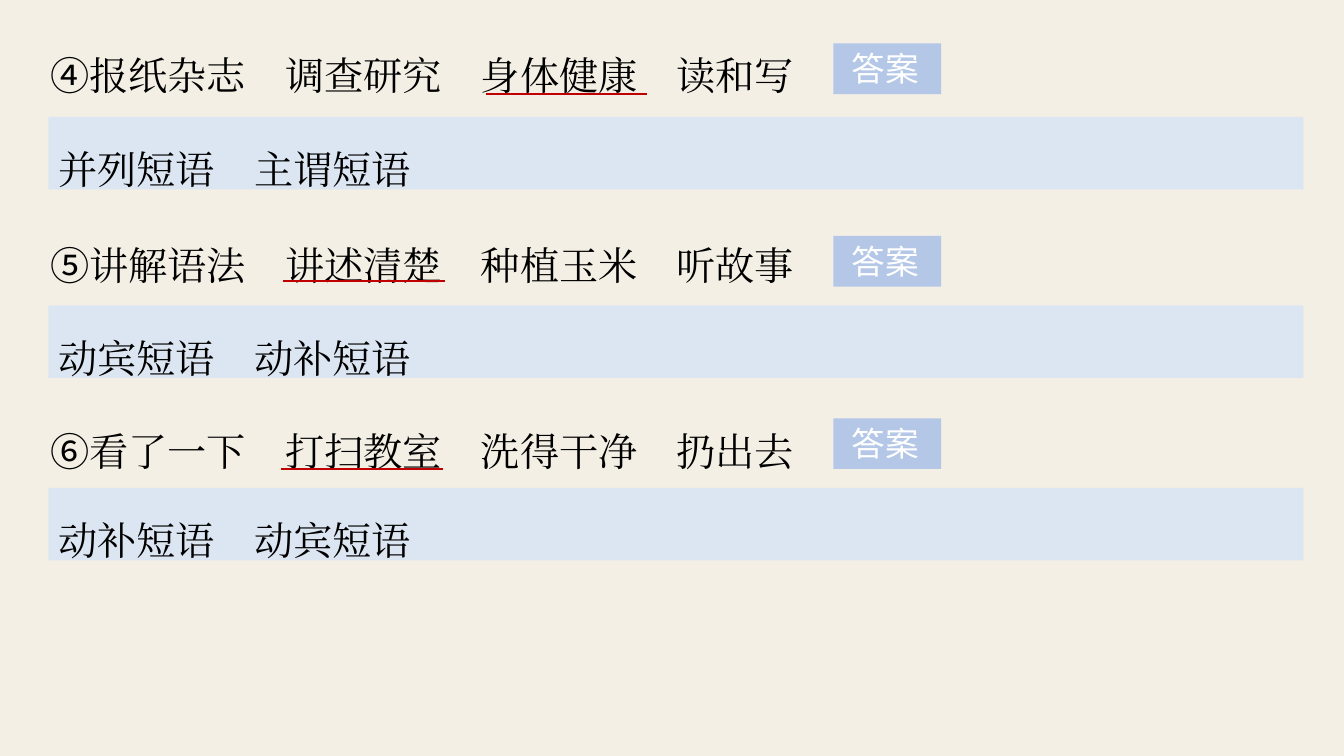
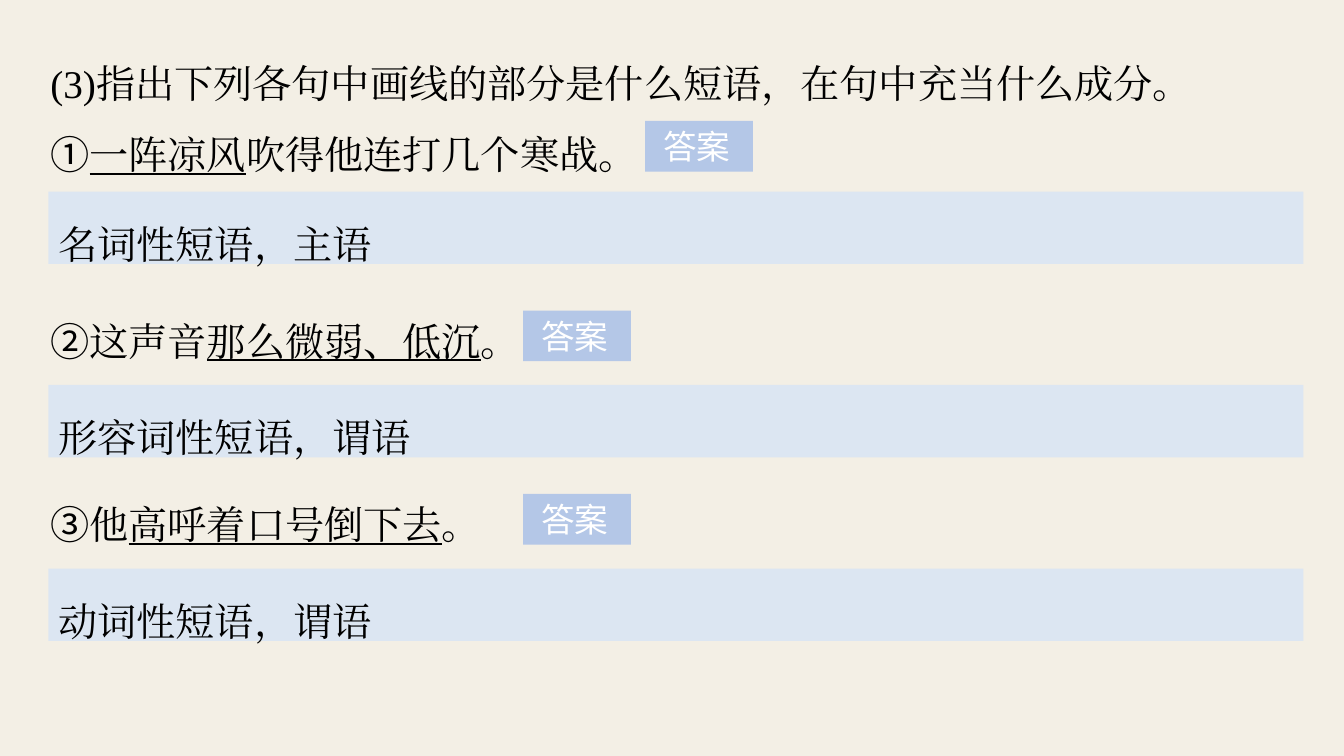
"""Build two grammar exercise slides with questions, answer bands and answer labels."""
import pptx
import pptx.dml.color
import pptx.enum.shapes
import pptx.enum.text
import pptx.oxml.ns
import pptx.util
from lxml import etree

Pt = pptx.util.Pt
COLORS = {"paper": "F3EFE5", "band": "DCE6F2", "label": "B4C7E7",
          "rule": "C00000", "ink": "000000", "white": "FFFFFF"}
BODY, NUMERAL, LABEL = "Times New Roman", "Noto Sans CJK SC", "Arial"
QUESTION_LEFT, QUESTION_WIDTH, LINE_HEIGHT, QUESTION_PADDING = 26.6, 903.6, 50.4, 10
BAND_LEFT, BAND_WIDTH, BAND_HEIGHT = 34.6, 896.4, 51.8
LABEL_WIDTH, LABEL_HEIGHT, RULE_WIDTH = 77, 36.2, 115.5

SLIDES = [
    [
        {"question": ["④报纸杂志　调查研究　身体健康　读和写"], "answer": "并列短语　主谓短语",
         "tops": (15.1, 83.5), "label": (595.4, 31), "rule": (347, 67)},
        {"question": ["⑤讲解语法　讲述清楚　种植玉米　听故事"], "answer": "动宾短语　动补短语",
         "tops": (150.5, 218.2), "label": (595.4, 168.5), "rule": (202.3, 200.9)},
        {"question": ["⑥看了一下　打扫教室　洗得干净　扔出去"], "answer": "动补短语　动宾短语",
         "tops": (283.7, 348.5), "label": (595.4, 298.8), "rule": (200.9, 335.2)},
    ],
    [
        {"question": ["(3)指出下列各句中画线的部分是什么短语，在句中充当什么成分。",
                      "①_一阵凉风_吹得他连打几个寒战。"], "answer": "名词性短语，主语",
         "tops": (20.9, 136.8), "label": (460.8, 86.4)},
        {"question": ["②这声音_那么微弱、低沉_。"], "answer": "形容词性短语，谓语",
         "tops": (204.5, 275), "label": (373.7, 221.8)},
        {"question": ["③他_高呼着口号倒下去_。"], "answer": "动词性短语，谓语",
         "tops": (335.5, 406.1), "label": (373.7, 352.8)},
    ],
]


def rgb(name):
    return pptx.dml.color.RGBColor.from_string(COLORS[name])


def add_run(paragraph, text, face, size=28, color="ink", underline=None):
    run = paragraph.add_run()
    run.text = text
    formats = {"name": face, "size": Pt(size), "underline": underline}
    for attribute, value in formats.items():
        setattr(run.font, attribute, value)
    run.font.color.rgb = rgb(color)
    latin = run.font._element.find(pptx.oxml.ns.qn("a:latin"))
    east_asian = etree.Element(pptx.oxml.ns.qn("a:ea"), typeface=face)
    latin.addnext(east_asian)


def format_frame(frame, side, edge, left=None):
    formats = {"margin_left": Pt(left or side), "margin_right": Pt(side),
               "margin_top": Pt(edge), "margin_bottom": Pt(edge), "word_wrap": True,
               "auto_size": pptx.enum.text.MSO_AUTO_SIZE.NONE,
               "vertical_anchor": pptx.enum.text.MSO_ANCHOR.TOP}
    for attribute, value in formats.items():
        setattr(frame, attribute, value)


def format_line(paragraph):
    paragraph.alignment = pptx.enum.text.PP_ALIGN.JUSTIFY
    paragraph.line_spacing = 1.5


def add_question(slide, lines, top):
    height = QUESTION_PADDING + LINE_HEIGHT * len(lines)
    question = slide.shapes.add_textbox(Pt(QUESTION_LEFT), Pt(top), Pt(QUESTION_WIDTH), Pt(height))
    frame = question.text_frame
    format_frame(frame, 9.4, 5)
    for index, line in enumerate(lines):
        paragraph = frame.add_paragraph() if index else frame.paragraphs[0]
        format_line(paragraph)
        if line[0] in "①②③④⑤⑥":
            add_run(paragraph, line[0], NUMERAL)
            line = line[1:]
        for part, text in enumerate(line.split("_")):
            if text:
                add_run(paragraph, text, BODY, underline=True if part % 2 else None)


def add_block(slide, left, top, width, height, fill):
    block = slide.shapes.add_shape(pptx.enum.shapes.MSO_SHAPE.RECTANGLE,
                                   Pt(left), Pt(top), Pt(width), Pt(height))
    block.shadow.inherit = False
    block.fill.solid()
    block.fill.fore_color.rgb = rgb(fill)
    block.line.fill.background()
    return block.text_frame


def add_answer(slide, text, top):
    frame = add_block(slide, BAND_LEFT, top, BAND_WIDTH, BAND_HEIGHT, "band")
    format_frame(frame, 7.2, 3.6)
    format_line(frame.paragraphs[0])
    add_run(frame.paragraphs[0], text, BODY)


def add_label(slide, left, top):
    frame = add_block(slide, left, top, LABEL_WIDTH, LABEL_HEIGHT, "label")
    format_frame(frame, 3.6, 3.6, left=13)
    frame.paragraphs[0].alignment = pptx.enum.text.PP_ALIGN.LEFT
    add_run(frame.paragraphs[0], "答案", LABEL, 24, "white")


def add_rule(slide, left, top):
    rule = slide.shapes.add_connector(pptx.enum.shapes.MSO_CONNECTOR.STRAIGHT,
                                      Pt(left), Pt(top), Pt(left + RULE_WIDTH), Pt(top))
    rule.line.color.rgb = rgb("rule")
    rule.line.width = Pt(1.5)
    etree.SubElement(rule._element.spPr, pptx.oxml.ns.qn("a:effectLst"))


def main():
    deck = pptx.Presentation()
    deck.slide_width, deck.slide_height = Pt(960), Pt(540)
    background = deck.slide_master.background.fill
    background.solid()
    background.fore_color.rgb = rgb("paper")
    for exercises in SLIDES:
        slide = deck.slides.add_slide(deck.slide_layouts[6])
        for exercise in exercises:
            question_top, answer_top = exercise["tops"]
            add_question(slide, exercise["question"], question_top)
            add_answer(slide, exercise["answer"], answer_top)
            add_label(slide, *exercise["label"])
        for exercise in exercises:
            if "rule" in exercise:
                add_rule(slide, *exercise["rule"])
    deck.save("out.pptx")


if __name__ == "__main__":
    main()
